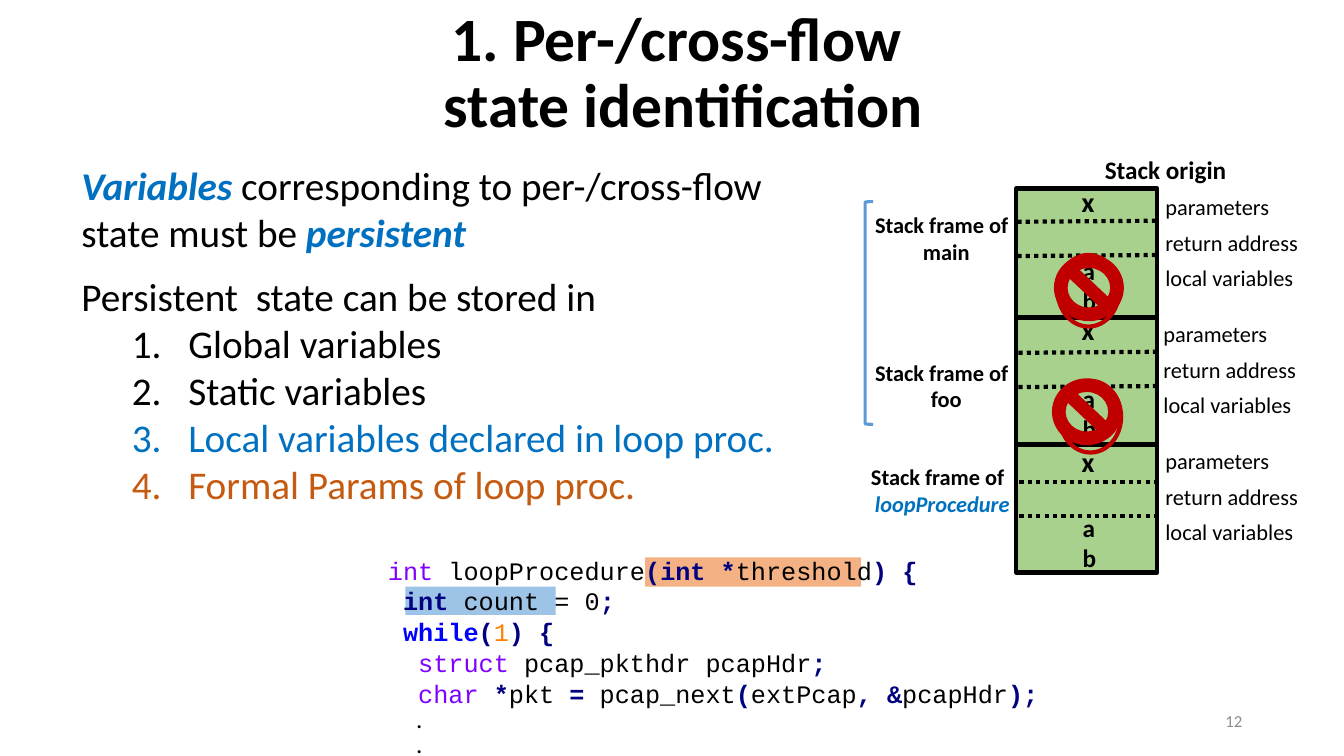
from pptx import Presentation
from pptx.util import Inches, Pt
from pptx.dml.color import RGBColor
from pptx.enum.dml import MSO_LINE
from pptx.enum.shapes import MSO_CONNECTOR, MSO_SHAPE as Kind
from pptx.enum.text import MSO_ANCHOR as Anchor, PP_ALIGN as Align
from lxml.etree import SubElement
from pptx.oxml.ns import qn

BLACK = RGBColor(0x00, 0x00, 0x00)
BLUE = RGBColor(0x00, 0x70, 0xC0)
RUST = RGBColor(0xC5, 0x5A, 0x11)
PEACH = RGBColor(0xF4, 0xB1, 0x83)
SKY = RGBColor(0x9D, 0xC3, 0xE6)
GREEN = RGBColor(0xA9, 0xD1, 0x8E)
RED = RGBColor(0xC0, 0x00, 0x00)
STEEL = RGBColor(0x5B, 0x9B, 0xD5)
GRAY = RGBColor(0x8C, 0x8C, 0x8C)
TYPE = RGBColor(0x80, 0x00, 0xFF)
MARK = RGBColor(0x00, 0x00, 0x80)
WORD = RGBColor(0x00, 0x00, 0xFF)
DIGIT = RGBColor(0xFF, 0x80, 0x00)

deck = Presentation()
deck.slide_width, deck.slide_height = Inches(13.33), Inches(7.5)
slide = deck.slides.add_slide(deck.slide_layouts[6])
shapes = slide.shapes


def write(box, paras, size, bold=False, font="Calibri", anchor=Anchor.TOP):
    frame = shapes.add_textbox(*map(Inches, box)).text_frame
    frame.word_wrap = True
    frame.vertical_anchor = anchor
    for i, (runs, form) in enumerate(paras):
        para = frame.paragraphs[0] if i == 0 else frame.add_paragraph()
        for name, value in form.items():
            setattr(para, name, value)
        for text, color, style in runs:
            if text == "\n":
                para.add_line_break()
                continue
            run = para.add_run()
            run.text = text
            face = {"name": font, "size": Pt(size), "bold": bold or "b" in style,
                    "italic": "i" in style}
            for name, value in face.items():
                setattr(run.font, name, value)
            run.font.color.rgb = color
    return frame


def draw(kind, box, fill=None, line=None, width=1):
    shape = shapes.add_shape(kind, *map(Inches, box))
    shape.shadow.inherit = False
    if fill is None:
        shape.fill.background()
    else:
        shape.fill.solid()
        shape.fill.fore_color.rgb = fill
    if line is None:
        shape.line.fill.background()
    else:
        shape.line.color.rgb = line
        shape.line.width = Pt(width)


mid = {"alignment": Align.CENTER}
title = [("1. Per-/cross-flow ", BLACK, ""), ("\n", BLACK, ""),
         ("state identification", BLACK, "")]
write((1.03, 0, 11.5, 1.48), [(title, {**mid, "line_spacing": 0.9})],
      44, bold=True, anchor=Anchor.MIDDLE)

places = [("Global variables", BLACK), ("Static variables", BLACK),
          ("Local variables declared in loop proc.", BLUE),
          ("Formal Params of loop proc.", RUST)]
body = [
    ([("Variables ", BLUE, "bi"),
      ("corresponding to per-/cross-flow state must be ", BLACK, ""),
      ("persistent", BLUE, "bi")], {}),
    ([("Persistent  state can be stored in", BLACK, "")], {"space_before": Pt(12)}),
] + [([(text, color, "")], {"level": 1}) for text, color in places]
frame = write((0.71, 1.55, 7.73, 3.57), body, 28)
for para in frame.paragraphs[2:]:
    props = para._p.get_or_add_pPr()
    props.set("marL", str(Inches(1.06)))
    props.set("indent", str(Inches(-0.56)))
    SubElement(props, qn("a:buFont"), typeface="+mj-lt")
    SubElement(props, qn("a:buAutoNum"), type="arabicPeriod")

draw(Kind.RECTANGLE, (6.4, 5.53, 2.14, 0.29), PEACH)
draw(Kind.RECTANGLE, (4.02, 5.82, 1.49, 0.28), SKY)

code = [
    [("int ", TYPE, ""), ("loopProcedure", BLACK, ""), ("(int *", MARK, "b"),
     ("threshold", BLACK, ""), (") {", MARK, "b")],
    [(" int ", MARK, "b"), ("count = 0", BLACK, ""), (";", MARK, "b")],
    [(" ", BLACK, ""), ("while", WORD, "b"), ("(", MARK, "b"), ("1", DIGIT, ""),
     (") {", MARK, "b")],
    [("  ", BLACK, ""), ("struct ", TYPE, ""), ("pcap_pkthdr pcapHdr", BLACK, ""),
     (";", MARK, "b")],
    [("  ", BLACK, ""), ("char ", TYPE, ""), ("*", MARK, "b"), ("pkt ", BLACK, ""),
     ("= ", MARK, "b"), ("pcap_next", BLACK, ""), ("(", MARK, "b"),
     ("extPcap", BLACK, ""), (", &", MARK, "b"), ("pcapHdr", BLACK, ""),
     (");", MARK, "b")],
]
dots = [([(".", BLACK, "")], {"line_spacing": Pt(18)})] * 2
lines = [(runs, {"line_spacing": Pt(22)}) for runs in code]
frame = write((3.75, 5.45, 7.04, 2.15), lines + dots, 18, font="Courier New")
for para in frame.paragraphs[len(code):]:
    para._p.get_or_add_pPr().set("marL", str(Inches(0.28)))
    para.runs[0].font.name = "Calibri"

draw(Kind.RECTANGLE, (10.08, 1.87, 1.4, 3.81), GREEN, BLACK, 3)
solid = [(10.09, y, y, None) for y in (3.15, 4.41, 5.68)]
dotted = [(x, y + step, y + step - drop, MSO_LINE.ROUND_DOT)
          for x, y, drop in ((10.09, 2.2, 0.01), (10.1, 3.5, 0.01), (10.11, 4.78, 0))
          for step in (0, 0.34)]
for x, start, end, dash in solid + dotted:
    rule = shapes.add_connector(MSO_CONNECTOR.STRAIGHT, Inches(x), Inches(start),
                                Inches(x + 1.39), Inches(end))
    rule.line.color.rgb = BLACK
    rule.line.width = Pt(3)
    rule.line.dash_style = dash
    SubElement(rule._element.spPr, qn("a:effectLst"))

parts = [([("parameters", BLACK, "")], {"space_after": Pt(6)}),
         ([("return address", BLACK, "")], {}),
         ([("local variables", BLACK, "")], {"space_before": Pt(6)})]
local = [([(name, BLACK, "")], {}) for name in "ab"]
calls = [("main", BLACK, "", 8.58, 2.05, 1.78, 11.46),
         ("foo", BLACK, "", 8.58, 3.51, 3.05, 11.44),
         ("loopProcedure", BLUE, "i", 8.54, 4.55, 4.36, 11.46)]
for i, (name, color, style, left, top, arg, side) in enumerate(calls):
    write((10.63, arg, 0.45, 0.44), [([("x", BLACK, "")], {})], 20, bold=True)
    write((10.64, 2.48 + 1.275 * i, 0.42, 0.71), local, 18, bold=True)
    write((side, 1.87 + 1.26 * i, 1.61, 1.08), parts, 16)
    label = [([("Stack frame of", BLACK, "")], {}), ([(name, color, style)], mid)]
    write((left, top, 1.61, 0.64), label, 16, bold=True)
write((10.86, 1.48, 1.77, 0.4), [([("Stack origin", BLACK, "")], {})], 18, bold=True)

draw(Kind.LEFT_BRACKET, (8.58, 2, 0.08, 2.21), None, STEEL, 2.25)
for ring, ban in (((10.51, 3.78), (10.44, 3.76)), ((10.49, 2.53), (10.46, 2.53))):
    draw(Kind.OVAL, (*ring, 0.61, 0.71), None, RED, 3)
    draw(Kind.NO_SYMBOL, (*ban, 0.68, 0.65), RED, RED)
write((9.42, 6.95, 3, 0.4), [([("12", GRAY, "")], {"alignment": Align.RIGHT})],
      12, anchor=Anchor.MIDDLE)

deck.save("out.pptx")
